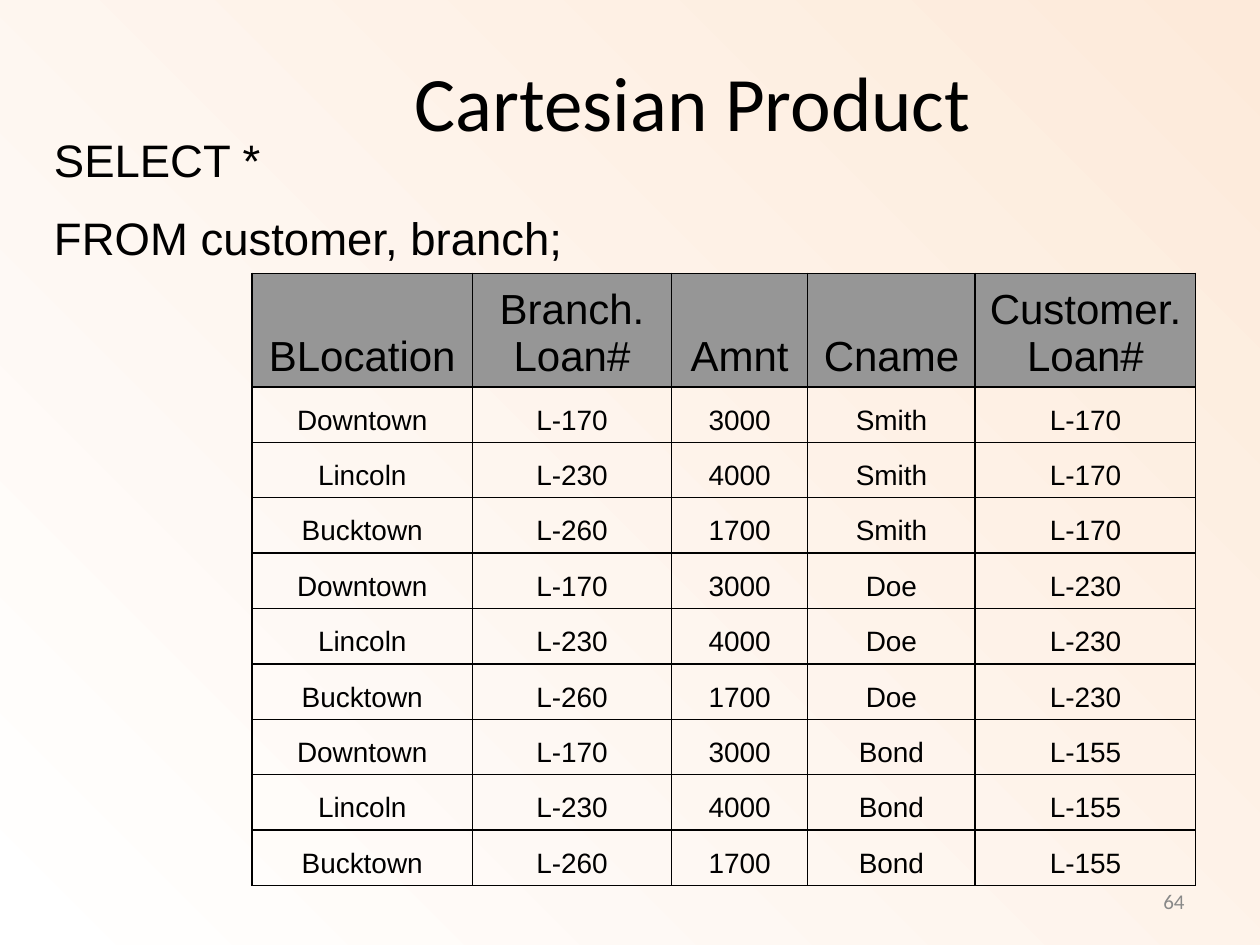
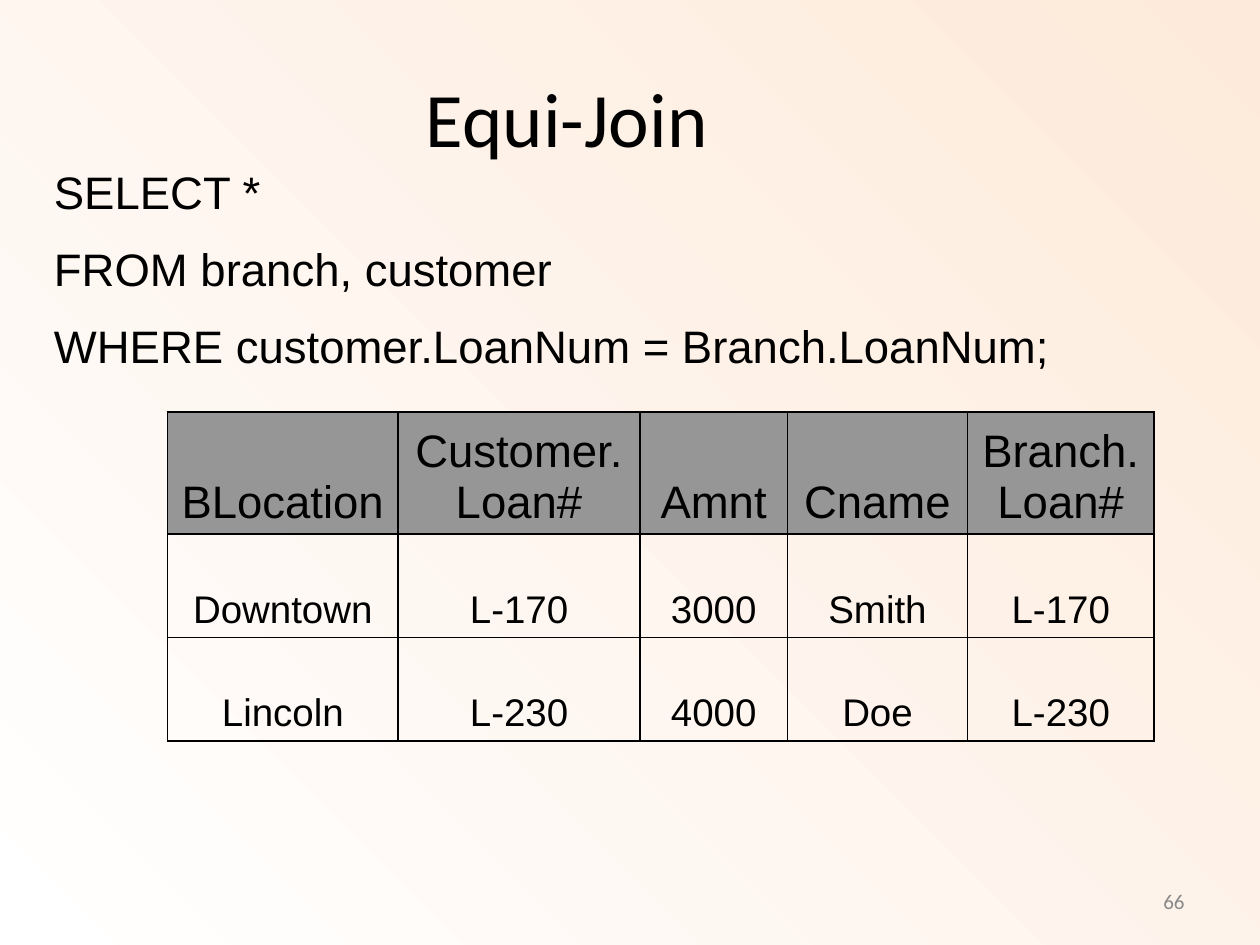
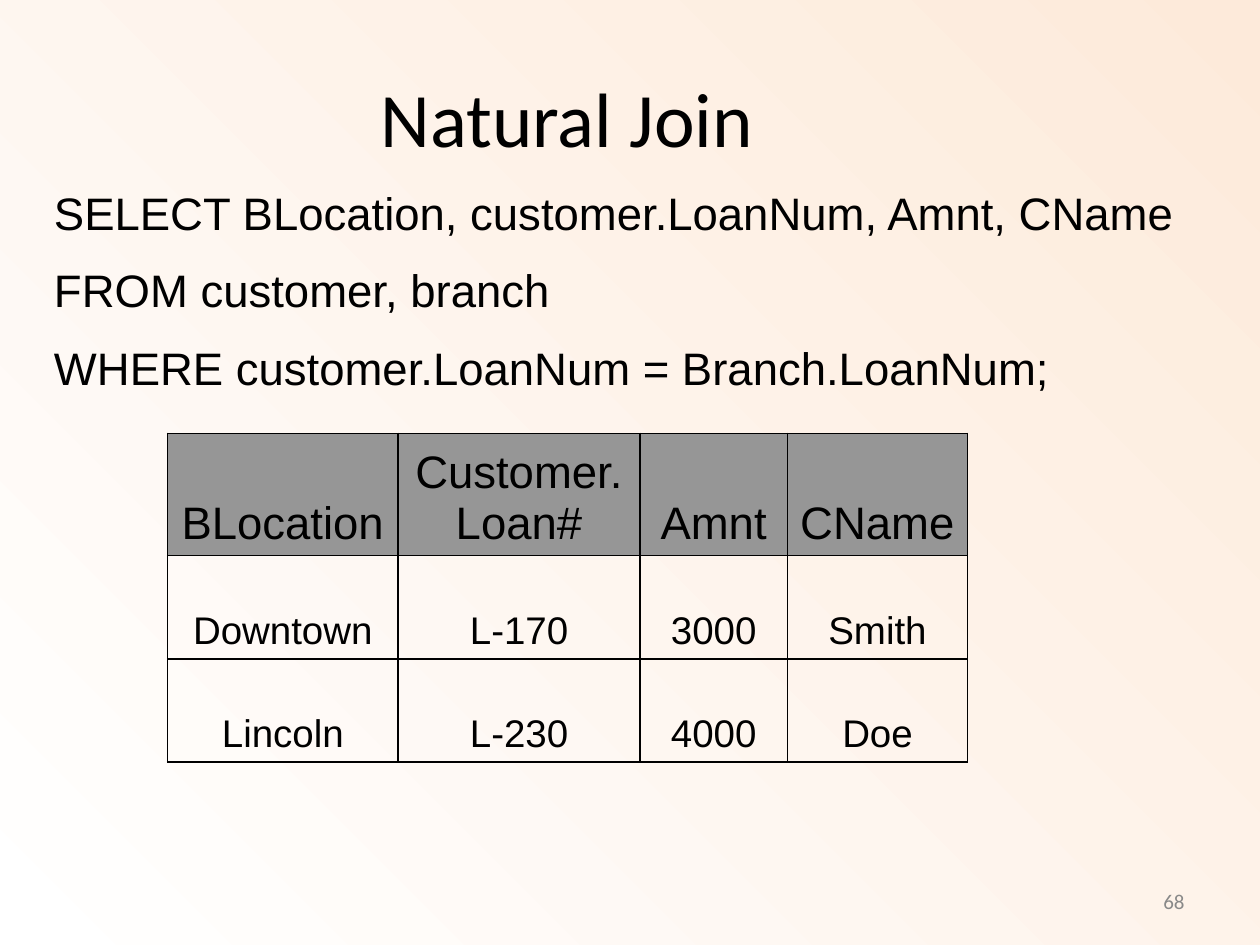
"""Three slides on SQL joins: Cartesian product, equi-join and natural join."""
from itertools import product

from lxml import etree
from pptx import Presentation
from pptx.dml.color import RGBColor
from pptx.enum.text import MSO_ANCHOR, PP_ALIGN
from pptx.oxml import parse_xml
from pptx.oxml.ns import nsdecls, qn
from pptx.util import Inches, Pt

LEFT, CENTER, RIGHT = PP_ALIGN.LEFT, PP_ALIGN.CENTER, PP_ALIGN.RIGHT
TOP, MIDDLE, BOTTOM = MSO_ANCHOR.TOP, MSO_ANCHOR.MIDDLE, MSO_ANCHOR.BOTTOM

COLORS = {
    "text": "000000",
    "number": "898989",
    "header": "969696",
    "bg_start": "FFFFFF",
    "bg_end": "FDEADA",
}
HEAD_FONT, BODY_FONT = "Calibri", "Arial"

BRANCHES = [
    ("Downtown", "L-170", "3000"),
    ("Lincoln", "L-230", "4000"),
    ("Bucktown", "L-260", "1700"),
]
CUSTOMERS = [("Smith", "L-170"), ("Doe", "L-230"), ("Bond", "L-155")]

JOIN_COLS = [1.83, 1.92, 1.17, 1.43, 1.48]
JOIN_ROWS = [0.97, 0.82, 0.82]


class Deck:
    """Holds the shared style and the current slide."""

    def __init__(self):
        self.prs = Presentation()
        self.prs.slide_width = Inches(10)
        self.prs.slide_height = Inches(7.5)
        self.slide = None

    def color(self, name):
        return RGBColor.from_string(COLORS[name])

    def new_slide(self, title, title_at, number):
        self.slide = self.prs.slides.add_slide(self.prs.slide_layouts[6])
        self.background()
        self.text(title, (*title_at, 9, 1.25), 44, HEAD_FONT, CENTER, MIDDLE)
        self.text(number, (7.17, 6.95, 2.33, 0.4), 12, HEAD_FONT, RIGHT, MIDDLE, "number")

    def background(self):
        fill = self.slide.background.fill
        fill.gradient()
        for stop, name in zip(fill.gradient_stops, ("bg_start", "bg_end")):
            stop.color.rgb = self.color(name)
        grad = self.slide.element.find(".//" + qn("a:gradFill"))
        grad.replace(grad.find(qn("a:lin")), parse_xml(
            f'<a:path {nsdecls("a")} path="circle">'
            '<a:fillToRect t="100000" r="100000"/></a:path>'))

    def format(self, tf, size, font, align, color="text"):
        for p in tf.paragraphs:
            p.alignment = align
            for r in p.runs:
                r.font.size = Pt(size)
                r.font.name = font
                r.font.bold = False
                r.font.color.rgb = self.color(color)

    def text(self, text, at, size, font, align, anchor, color="text"):
        sp = self.slide.shapes.add_textbox(*map(Inches, at))
        tf = sp.text_frame
        tf.word_wrap = True
        tf.vertical_anchor = anchor
        tf.text = text
        self.format(tf, size, font, align, color)
        return tf

    def query(self, lines, at):
        tf = self.text("\n".join(lines), at, 26, BODY_FONT, LEFT, TOP)
        for p in tf.paragraphs:
            before = etree.SubElement(p._p.get_or_add_pPr(), qn("a:spcBef"))
            etree.SubElement(before, qn("a:spcPct"), val="50000")

    def borders(self, cell):
        tc_pr = cell._tc.get_or_add_tcPr()
        for side in "LRTB":
            tc_pr.append(parse_xml(
                f'<a:ln{side} {nsdecls("a")} w="12700"><a:solidFill>'
                f'<a:srgbClr val="{COLORS["text"]}"/></a:solidFill></a:ln{side}>'))

    def table(self, rows, at, cols, heights, head_size, body_size):
        table = self.slide.shapes.add_table(
            len(rows), len(cols), *map(Inches, (*at, sum(cols), sum(heights)))).table
        table.first_row = table.horz_banding = False
        for col, width in zip(table.columns, cols):
            col.width = Inches(width)
        for i, (row, height) in enumerate(zip(rows, heights)):
            table.rows[i].height = Inches(height)
            for cell, value in zip(table.rows[i].cells, row):
                cell.text = value
                cell.vertical_anchor = BOTTOM
                self.format(cell.text_frame, body_size if i else head_size, BODY_FONT, CENTER)
                self.borders(cell)
                if i:
                    cell.fill.background()
                else:
                    cell.fill.solid()
                    cell.fill.fore_color.rgb = self.color("header")


def main():
    deck = Deck()
    pairs = list(product(CUSTOMERS, BRANCHES))
    matches = [(place, loan, amount, name, b_loan)
               for (name, loan), (place, b_loan, amount) in pairs if loan == b_loan]
    where = "WHERE customer.LoanNum = Branch.LoanNum;"

    deck.new_slide("Cartesian Product", (1, 0.17), "64")
    head = ("BLocation", "Branch.\nLoan#", "Amnt", "Cname", "Customer.\nLoan#")
    deck.table([head] + [branch + customer for customer, branch in pairs], (2, 2.17),
               [1.75, 1.58, 1.08, 1.33, 1.75], [0.9] + [0.44] * len(pairs), 24, 16)
    deck.query(["SELECT *", "FROM customer, branch;"], (0.33, 1, 4.42, 1.19))

    deck.new_slide("Equi-Join", (0, 0.3), "66")
    deck.query(["SELECT *", "FROM branch, customer", where], (0.33, 1.25, 8.33, 1.84))
    head = ("BLocation", "Customer.\nLoan#", "Amnt", "Cname", "Branch.\nLoan#")
    deck.table([head] + matches, (1.33, 3.27), JOIN_COLS, JOIN_ROWS, 26, 22)

    deck.new_slide("Natural Join", (0, 0.3), "68")
    deck.query(["SELECT BLocation, customer.LoanNum, Amnt, CName",
                "FROM customer, branch", where], (0.33, 1.42, 9.42, 1.84))
    head = ("BLocation", "Customer.\nLoan#", "Amnt", "CName")
    deck.table([head] + [row[:4] for row in matches], (1.33, 3.44),
               JOIN_COLS[:4], JOIN_ROWS, 26, 22)

    deck.prs.save("out.pptx")


if __name__ == "__main__":
    main()
